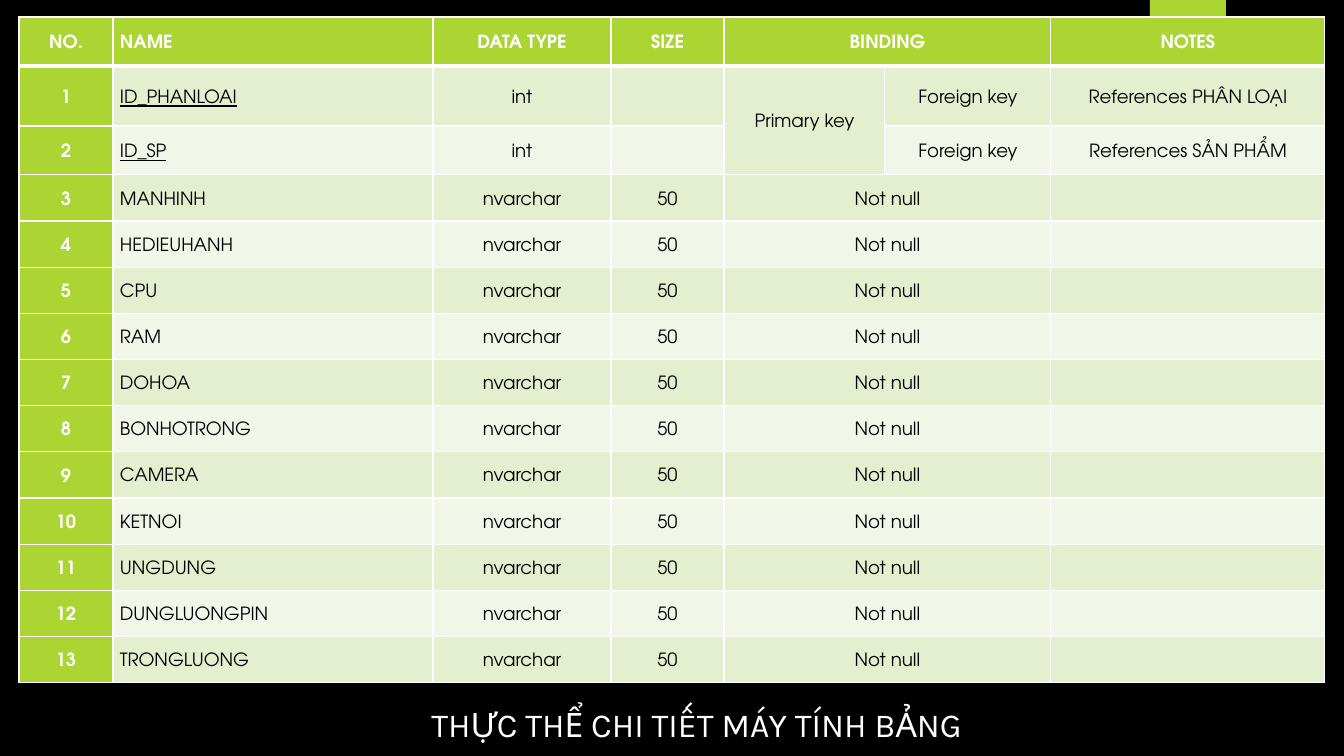
from dataclasses import dataclass

from lxml import etree
from pptx import Presentation
from pptx import util as u
from pptx.dml import color
from pptx.enum import shapes, text
from pptx.oxml import ns

SCALE = 914400 / 100.8


@dataclass(frozen=True)
class Theme:
    """Colours, fonts and type sizes of the slide."""
    back: str = "000000"
    accent: str = "ACD433"
    bands: tuple = ("E3EFCE", "F1F7E8")
    light: str = "FFFFFF"
    dark: str = "000000"
    title_font: str = "Karla"
    table_font: str = "TeX Gyre Adventor"
    title_size: int = 24
    table_size: int = 13
    rule: int = 1
    head_rule: int = 3


THEME = Theme()
COLUMNS = [94, 320, 178, 113, 161, 166, 274]
TOP_ROWS = [49, 60, 49]
NAME, BINDING = 1, 4
HEADINGS = ["NO.", "NAME", "DATA TYPE", "SIZE", "BINDING", "", "NOTES"]
KEYS = [
    ["ID_PHANLOAI", "int", "", "Primary key", "Foreign key", "References PHÂN LOẠI"],
    ["ID_SP", "int", "", "", "Foreign key", "References SẢN PHẨM"],
]
FIELDS = ["MANHINH", "HEDIEUHANH", "CPU", "RAM", "DOHOA", "BONHOTRONG", "CAMERA",
          "KETNOI", "UNGDUNG", "DUNGLUONGPIN", "TRONGLUONG"]


def px(length):
    """Turn pixels into EMU."""
    return u.Emu(round(length * SCALE))


def rgb(value):
    """Turn a hex string into a colour."""
    return color.RGBColor.from_string(value)


def assign(target, values):
    """Set each named attribute of the target."""
    for name, value in values.items():
        setattr(target, name, value)


def paint(fill, value):
    """Make a fill solid in one colour."""
    fill.solid()
    fill.fore_color.rgb = rgb(value)


def write(para, words, tone, font, layout):
    """Put one formatted span into a paragraph."""
    assign(para, layout)
    span = para.add_run()
    span.text = words
    assign(span.font, font)
    span.font.color.rgb = rgb(tone)


def add_borders(cell, widths):
    """Draw the cell sides with the given widths in points."""
    for side, width in widths.items():
        line = etree.SubElement(cell._tc.get_or_add_tcPr(), ns.qn(f"a:ln{side}"),
                                w=str(u.Pt(width)))
        fill = etree.SubElement(line, ns.qn("a:solidFill"))
        etree.SubElement(fill, ns.qn("a:srgbClr"), val=THEME.light)


def style_cell(cell, row, column, words):
    """Format one cell by its place in the table."""
    accented = row == 0 or column == 0
    widths = dict.fromkeys("LRTB", THEME.rule)
    if row < 2:
        widths["B" if row == 0 else "T"] = THEME.head_rule
    add_borders(cell, widths)
    paint(cell.fill, THEME.accent if accented else THEME.bands[(row - 1) % 2])
    assign(cell, {"margin_left": px(7), "margin_right": px(7), "margin_top": 0,
                  "margin_bottom": 0, "vertical_anchor": text.MSO_ANCHOR.MIDDLE})
    if words:
        align = text.PP_ALIGN.LEFT if column == NAME else text.PP_ALIGN.CENTER
        write(cell.text_frame.paragraphs[0], words,
              THEME.light if accented else THEME.dark,
              {"name": THEME.table_font, "size": u.Pt(THEME.table_size),
               "bold": accented, "underline": column == NAME and row in (1, 2)},
              {"alignment": align, "line_spacing": 1.25,
               "space_before": u.Pt(6), "space_after": u.Pt(8)})


def add_field_table(page, box):
    """Lay out the field table inside the box."""
    body = KEYS + [[name, "nvarchar", "50", "Not null", "", ""] for name in FIELDS]
    rows = [HEADINGS] + [[str(number), *row] for number, row in enumerate(body, 1)]
    table = page.shapes.add_table(len(rows), len(COLUMNS), *map(px, box)).table
    assign(table, {"first_row": False, "horz_banding": False})
    field_height = (box[3] - sum(TOP_ROWS)) / len(FIELDS)
    for column, width in zip(table.columns, COLUMNS):
        column.width = px(width)
    for row, height in zip(table.rows, TOP_ROWS + [field_height] * len(FIELDS)):
        row.height = px(height)
    for row, values in enumerate(rows):
        for column, words in enumerate(values):
            style_cell(table.cell(row, column), row, column, words)
        if row not in (1, 2):
            table.cell(row, BINDING).merge(table.cell(row, BINDING + 1))
    table.cell(1, BINDING).merge(table.cell(2, BINDING))


def add_tab(page, box):
    """Place the accent tab at the top edge."""
    tab = page.shapes.add_shape(shapes.MSO_SHAPE.RECTANGLE, *map(px, box))
    tab.shadow.inherit = False
    paint(tab.fill, THEME.accent)
    tab.line.fill.background()


def add_title(page, box):
    """Place the centred title in the box."""
    frame = page.shapes.add_textbox(*map(px, box)).text_frame
    assign(frame, {"word_wrap": True, "auto_size": text.MSO_AUTO_SIZE.SHAPE_TO_FIT_TEXT})
    write(frame.paragraphs[0], "THỰC THỂ CHI TIẾT MÁY TÍNH BẢNG", THEME.light,
          {"name": THEME.title_font, "size": u.Pt(THEME.title_size)},
          {"alignment": text.PP_ALIGN.CENTER})


def build_table_slide(deck):
    """Add the slide with its tab, title and table."""
    page = deck.slides.add_slide(deck.slide_layouts[6])
    paint(page.background.fill, THEME.back)
    add_tab(page, (1150, 0, 76, 126))
    add_title(page, (400, 699, 593, 50))
    add_field_table(page, (19, 17, sum(COLUMNS), 666))


def main():
    """Build and save the deck."""
    deck = Presentation()
    assign(deck, {"slide_width": px(1344), "slide_height": px(756)})
    build_table_slide(deck)
    deck.save("out.pptx")


main()
